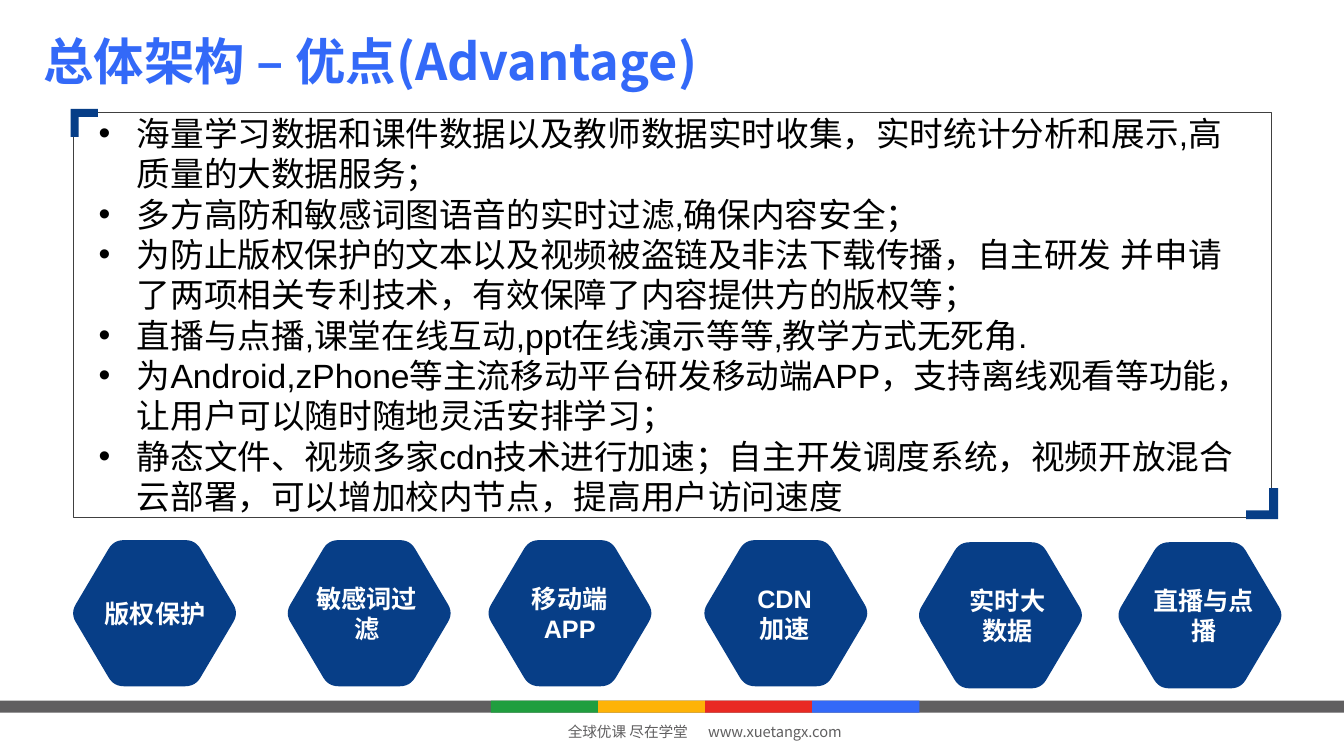
import math

import lxml.etree
import pptx
import pptx.dml.color
import pptx.enum.shapes
import pptx.enum.text
import pptx.oxml.ns
import pptx.util

COLUMNS, ROWS = 32, 18
BLUE, NAVY, GRAY, WHITE, BLACK = "3369F8", "073E87", "605F60", "FFFFFF", "000000"
LEFT, CENTER = pptx.enum.text.PP_ALIGN.LEFT, pptx.enum.text.PP_ALIGN.CENTER
RECTANGLE = pptx.enum.shapes.MSO_SHAPE.RECTANGLE

TEXT_STYLES = {
    "title": {"name": "Noto Sans CJK SC", "size": 36, "bold": True, "color": BLUE},
    "body": {"name": "Arial", "size": 24, "bold": False, "color": BLACK},
    "label": {"name": "Arial", "size": 18, "bold": True, "color": WHITE},
    "footer": {"name": "Noto Sans CJK SC", "size": 10.5, "bold": False, "color": GRAY},
}

ADVANTAGES = [
    "海量学习数据和课件数据以及教师数据实时收集，实时统计分析和展示,高质量的大数据服务；",
    "多方高防和敏感词图语音的实时过滤,确保内容安全；",
    "为防止版权保护的文本以及视频被盗链及非法下载传播，自主研发 并申请了两项相关专利技术，有效保障了内容提供方的版权等；",
    "直播与点播,课堂在线互动,ppt在线演示等等,教学方式无死角.",
    "为Android,zPhone等主流移动平台研发移动端APP，支持离线观看等功能，让用户可以随时随地灵活安排学习；",
    "静态文件、视频多家cdn技术进行加速；自主开发调度系统，视频开放混合云部署，可以增加校内节点，提高用户访问速度",
]

# Hexagon column and row, label, label column and width
FEATURES = [
    (1.75, 12.86, "版权保护", 2.42, 2.54),
    (6.86, 12.86, "敏感词过滤", 7.46, 2.54),
    (11.64, 12.86, "移动端APP", 12.22, 2.69),
    (16.78, 12.86, "CDN加速", 17.83, 1.7),
    (21.89, 12.91, "实时大数据", 22.97, 2.04),
    (26.64, 12.91, "直播与点播", 27.34, 2.64),
]


def color(hex_string):
    return pptx.dml.color.RGBColor.from_string(hex_string)


def rounded(corners, trim, steps=6):
    """Replace each corner of a polygon by a short quadratic curve."""
    points = []
    for index, corner in enumerate(corners):
        ends = []
        for neighbor in (corners[index - 1], corners[(index + 1) % len(corners)]):
            share = trim / math.dist(corner, neighbor)
            ends.append([c + share * (n - c) for c, n in zip(corner, neighbor)])
        for step in range(steps + 1):
            t = step / steps
            points.append(tuple(
                (1 - t) ** 2 * a + 2 * t * (1 - t) * c + t ** 2 * b
                for a, c, b in zip(ends[0], corner, ends[1])))
    return points


class SlideBuilder:
    def __init__(self, presentation):
        self.column = presentation.slide_width / COLUMNS
        self.row = presentation.slide_height / ROWS
        self.slide = presentation.slides.add_slide(presentation.slide_layouts[1])

    def box(self, left, top, width, height):
        return (round(left * self.column), round(top * self.row),
                round(width * self.column), round(height * self.row))

    def paint(self, shape, fill=None, line=None):
        shape.shadow.inherit = False
        if fill:
            shape.fill.solid()
            shape.fill.fore_color.rgb = color(fill)
        else:
            shape.fill.background()
        if line:
            shape.line.color.rgb = color(line)
            shape.line.width = pptx.util.Pt(0.25)
        else:
            shape.line.fill.background()

    def rectangle(self, place, **colors):
        shape = self.slide.shapes.add_shape(RECTANGLE, *self.box(*place))
        self.paint(shape, **colors)

    def polygon(self, points, fill):
        points = [(round(x * self.column), round(y * self.row)) for x, y in points]
        builder = self.slide.shapes.build_freeform(*points[0], scale=1.0)
        builder.add_line_segments(points[1:], close=True)
        self.paint(builder.convert_to_shape(), fill=fill)

    def bracket(self, x, y, width, height, thickness, fill):
        """Corner mark; negative lengths point left and up."""
        across, down = math.copysign(thickness, width), math.copysign(thickness, height)
        self.polygon([(x, y), (x + width, y), (x + width, y + down),
                      (x + across, y + down), (x + across, y + height),
                      (x, y + height)], fill)

    def hexagon(self, left, top, fill):
        corners = [(-0.07, 1.74), (0.96, 0), (2.9, 0),
                   (3.93, 1.74), (2.9, 3.48), (0.96, 3.48)]
        self.polygon([(left + x, top + y) for x, y in rounded(corners, 0.24)], fill)

    def fill_text(self, shape, texts, style, alignment=LEFT, inset=0, bullet=False, tab=None):
        frame = shape.text_frame
        frame_format = {
            "word_wrap": True, "auto_size": pptx.enum.text.MSO_AUTO_SIZE.NONE,
            "vertical_anchor": pptx.enum.text.MSO_ANCHOR.MIDDLE,
            "margin_left": inset, "margin_right": inset,
            "margin_top": 0, "margin_bottom": 0,
        }
        for name, value in frame_format.items():
            setattr(frame, name, value)
        for index, text in enumerate(texts):
            paragraph = frame.add_paragraph() if index else frame.paragraphs[0]
            paragraph.text = text
            paragraph.alignment = alignment
            paragraph.space_before = paragraph.space_after = pptx.util.Pt(0)
            properties = paragraph._p.get_or_add_pPr()
            if bullet:
                indent = round(0.91 * self.column)
                properties.set("marL", str(indent))
                properties.set("indent", str(-indent))
                self.add_element(properties, "a:buFont", typeface="Arial")
                self.add_element(properties, "a:buChar", char="•")
            if tab:
                stops = self.add_element(properties, "a:tabLst")
                self.add_element(stops, "a:tab", pos=str(round(tab * self.column)), algn="l")
            for run in paragraph.runs:
                self.format_font(run.font, TEXT_STYLES[style])

    def add_element(self, parent, tag, **attributes):
        return lxml.etree.SubElement(parent, pptx.oxml.ns.qn(tag), attributes)

    def format_font(self, font, style):
        values = {"name": style["name"], "bold": style["bold"],
                  "size": pptx.util.Pt(style["size"])}
        for name, value in values.items():
            setattr(font, name, value)
        font.color.rgb = color(style["color"])
        self.add_element(font._element, "a:ea", typeface=style["name"])

    def text(self, place, text, style, **options):
        shape = self.slide.shapes.add_textbox(*self.box(*place))
        self.fill_text(shape, [text], style, **options)

    def placeholder(self, index, place, texts, style, **options):
        shape = self.slide.placeholders[index]
        for name, value in zip(("left", "top", "width", "height"), self.box(*place)):
            setattr(shape, name, value)
        self.fill_text(shape, texts, style, **options)


def main():
    presentation = pptx.Presentation()
    presentation.slide_width = pptx.util.Inches(13.33)
    presentation.slide_height = pptx.util.Inches(7.5)
    builder = SlideBuilder(presentation)

    # Footer band and line
    builder.rectangle((0, 16.68, COLUMNS, 0.29), fill=GRAY)
    for index, fill in enumerate(("209E3F", "FEB307", "E92923", BLUE)):
        builder.rectangle((11.69 + 2.55 * index, 16.68, 2.55, 0.29), fill=fill)
    builder.text((13.52, 17.09, 7.2, 0.67), "全球优课 尽在学堂\twww.xuetangx.com",
                 "footer", tab=3.34)

    # Title and framed list
    builder.placeholder(0, (0.79, 0.58, 23.81, 1.7), ["总体架构 – 优点(Advantage)"],
                        "title", inset=pptx.util.Inches(0.1))
    builder.rectangle((1.75, 2.66, 28.51, 9.65), line="404040")
    builder.placeholder(1, (2.35, 2.64, 27.1, 9.7), ADVANTAGES, "body", bullet=True)
    builder.bracket(1.68, 2.59, 0.65, 0.67, 0.19, NAVY)
    builder.bracket(30.43, 12.36, -0.76, -0.74, 0.21, NAVY)

    # Feature hexagons
    for left, top, label, label_left, label_width in FEATURES:
        builder.hexagon(left, top, NAVY)
        builder.text((label_left, top + 1.01, label_width, 1.46), label, "label",
                     alignment=CENTER)

    presentation.save("out.pptx")


if __name__ == "__main__":
    main()
